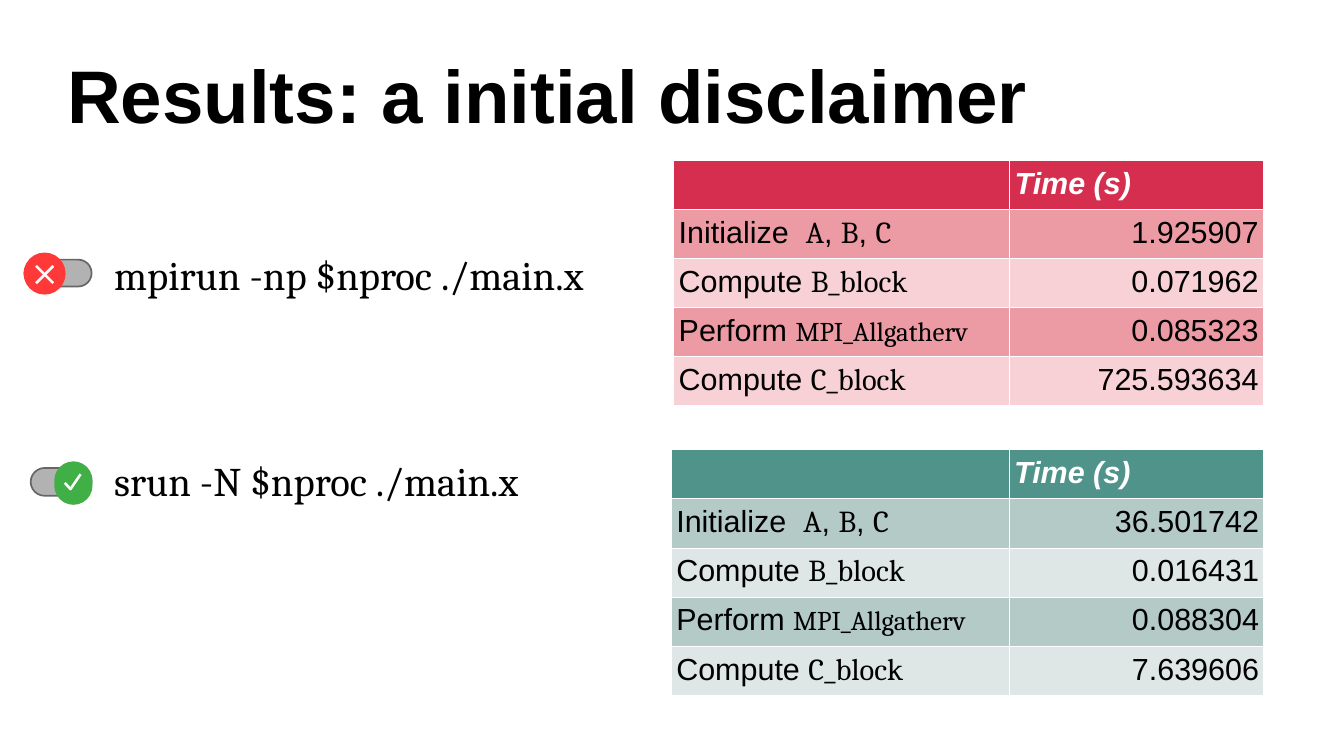
"""Build a slide comparing timings of two launch commands."""
from lxml.etree import SubElement
from pptx import Presentation
from pptx.dml.color import RGBColor
from pptx.enum.shapes import MSO_CONNECTOR as CONNECTOR, MSO_SHAPE as SHAPE
from pptx.enum.text import MSO_ANCHOR as ANCHOR, PP_ALIGN as ALIGN
from pptx.oxml.ns import qn
from pptx.util import Cm, Pt

COLORS = {
    "black": "000000", "white": "FFFFFF",
    "track": "B2B2B2", "track_line": "666666",
    "off": "FF3838", "on": "3FAF46",
    "red_head": "D62E4E", "red_dark": "EC9BA4", "red_light": "F7D1D5",
    "green_head": "50938A", "green_dark": "B3CAC7", "green_light": "DEE7E5",
}
SANS, SERIF = "Arial", "Cambria"


def add_run(paragraph, text, size, font=SANS, color="black", bold=False, italic=False):
    run = paragraph.add_run()
    run.text = text
    run.font.size = Pt(size)
    run.font.name = font
    run.font.bold = bold
    run.font.italic = italic
    run.font.color.rgb = RGBColor.from_string(COLORS[color])


def add_pill(group, box, fill, line):
    shape = group.shapes.add_shape(SHAPE.ROUNDED_RECTANGLE, *map(Cm, box))
    shape.adjustments[0] = 0.5
    shape.shadow.inherit = False
    shape.fill.solid()
    shape.fill.fore_color.rgb = RGBColor.from_string(COLORS[fill])
    shape.line.color.rgb = RGBColor.from_string(COLORS[line])
    shape.line.width = Pt(1)


presentation = Presentation()
presentation.slide_width = Cm(28)
presentation.slide_height = Cm(15.75)
slide = presentation.slides.add_slide(presentation.slide_layouts[6])
white = RGBColor.from_string(COLORS["white"])

title = slide.shapes.add_textbox(Cm(1.4), Cm(0.63), Cm(25.2), Cm(2.63)).text_frame
title.word_wrap = True
title.vertical_anchor = ANCHOR.MIDDLE
title.margin_left = title.margin_right = title.margin_top = title.margin_bottom = 0
add_run(title.paragraphs[0], "Results: a initial disclaimer", 44, bold=True)

commands = [("mpirun -np $nproc ./main.x", 5.08), ("srun -N $nproc ./main.x", 9.37)]
for command, top in commands:
    frame = slide.shapes.add_textbox(Cm(2.13), Cm(top), Cm(11.84), Cm(1.96)).text_frame
    frame.word_wrap = True
    add_run(frame.paragraphs[0], command, 24, SERIF)

steps = [
    [("Initialize  ", 18, SANS), ("A", 18, SERIF), (", ", 18, SANS),
     ("B", 18, SERIF), (", ", 18, SANS), ("C", 18, SERIF)],
    [("Compute ", 18, SANS), ("B_block", 18, SERIF)],
    [("Perform ", 18, SANS), ("MPI_Allgatherv", 16, SERIF)],
    [("Compute ", 18, SANS), ("C_block", 18, SERIF)],
]
timings = [
    ("red", 14.04, 3.34, (7, 5.28), ["1.925907", "0.071962", "0.085323", "725.593634"]),
    ("green", 13.99, 9.37, (7.04, 5.3), ["36.501742", "0.016431", "0.088304", "7.639606"]),
]
row_height = 1.01
for theme, left, top, widths, seconds in timings:
    table = slide.shapes.add_table(
        5, 2, Cm(left), Cm(top), Cm(sum(widths)), Cm(5 * row_height)).table
    table.first_row = table.horz_banding = False
    for column, width in zip(table.columns, widths):
        column.width = Cm(width)
    for index, row in enumerate(table.rows):
        row.height = Cm(row_height)
        tone = "head" if index == 0 else "dark" if index % 2 else "light"
        for cell in row.cells:
            cell.margin_left = cell.margin_right = Cm(0.1)
            cell.margin_top = cell.margin_bottom = Cm(0.13)
            properties = cell._tc.get_or_add_tcPr()
            for side in ("a:lnL", "a:lnR", "a:lnT", "a:lnB"):
                border = SubElement(properties, qn(side), w=str(Pt(0.57)))
                fill = SubElement(border, qn("a:solidFill"))
                SubElement(fill, qn("a:srgbClr"), val=COLORS["white"])
            cell.fill.solid()
            cell.fill.fore_color.rgb = RGBColor.from_string(COLORS[f"{theme}_{tone}"])
    heading = table.cell(0, 1).text_frame.paragraphs[0]
    add_run(heading, "Time (s)", 18, color="white", bold=True, italic=True)
    for index, (step, value) in enumerate(zip(steps, seconds), start=1):
        for text, size, font in step:
            add_run(table.cell(index, 0).text_frame.paragraphs[0], text, size, font)
        paragraph = table.cell(index, 1).text_frame.paragraphs[0]
        paragraph.alignment = ALIGN.RIGHT
        add_run(paragraph, value, 18)

off_switch = slide.shapes.add_group_shape()
add_pill(off_switch, (0.51, 5.41, 1.4, 0.56), "track", "track_line")
add_pill(off_switch, (0.51, 5.28, 0.84, 0.84), "off", "off")
for start, end in [(5.9, 5.54), (5.54, 5.9)]:
    stroke = off_switch.shapes.add_connector(
        CONNECTOR.STRAIGHT, Cm(0.75), Cm(start), Cm(1.11), Cm(end))
    stroke.line.color.rgb = white
    stroke.line.width = Pt(1.5)
    SubElement(stroke._element.spPr, qn("a:effectLst"))

on_switch = slide.shapes.add_group_shape()
add_pill(on_switch, (0.64, 9.75, 1.27, 0.58), "track", "track_line")
add_pill(on_switch, (1.15, 9.63, 0.76, 0.87), "on", "on")
builder = on_switch.shapes.build_freeform(Cm(1.35), Cm(10.06))
builder.add_line_segments([(Cm(1.47), Cm(10.19)), (Cm(1.68), Cm(9.88))], close=False)
check = builder.convert_to_shape()
check.shadow.inherit = False
check.fill.background()
check.line.color.rgb = white
check.line.width = Pt(1.5)

presentation.save("out.pptx")
